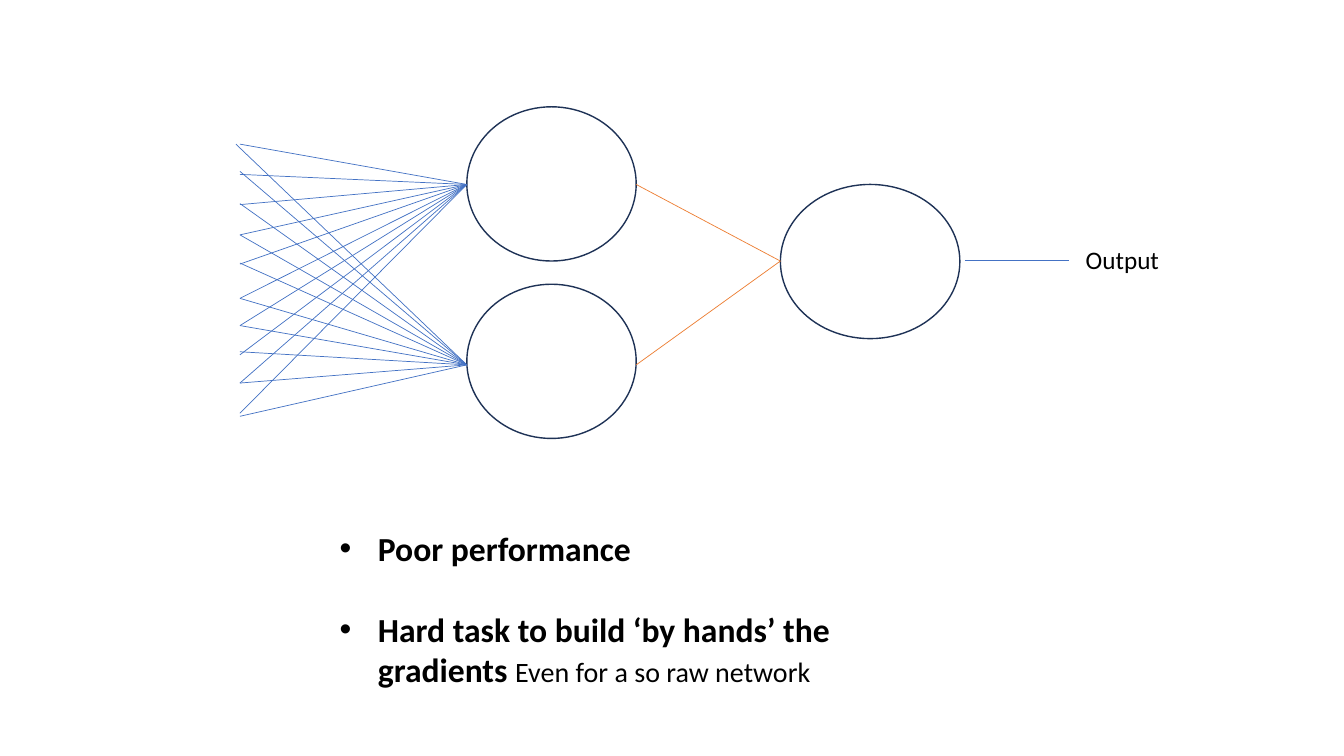
import pptx
import pptx.util
import pptx.dml.color
import pptx.enum.shapes
import pptx.oxml
import pptx.oxml.ns
from pptx.util import Inches, Pt

NAVY, BLUE, ORANGE, BLACK = "1E3256", "4472C4", "ED7D31", "000000"


def rgb(value):
    return pptx.dml.color.RGBColor.from_string(value)


def add_link(start, end, color):
    link = slide.shapes.add_connector(
        pptx.enum.shapes.MSO_CONNECTOR.STRAIGHT,
        *[Inches(v) for v in (*start, *end)])
    link.line.color.rgb = rgb(color)
    link.line.width = Pt(0.5)
    link._element.spPr.append(pptx.oxml.parse_xml(
        f"<a:effectLst {pptx.oxml.ns.nsdecls('a')}/>"))


deck = pptx.Presentation()
deck.slide_width, deck.slide_height = Inches(13.33), Inches(7.5)
slide = deck.slides.add_slide(deck.slide_layouts[6])

# Neurons: two hidden, one output
for left, top, width in [(4.63, 1.06, 1.68), (4.63, 2.82, 1.68), (7.74, 1.83, 1.78)]:
    neuron = slide.shapes.add_shape(
        pptx.enum.shapes.MSO_SHAPE.OVAL,
        Inches(left), Inches(top), Inches(width), Inches(1.53))
    neuron.shadow.inherit = False
    neuron.fill.background()
    neuron.line.color.rgb = rgb(NAVY)
    neuron.line.width = Pt(1)

# Ten inputs into each hidden neuron, then on to the output neuron
hidden_inputs = {
    1.83: [1.43, 1.73, 2.03, 2.33, 2.62, 2.96, 3.23, 3.52, 3.8, 4.1],
    3.62: [1.43, 1.7, 2.02, 2.33, 2.61, 2.96, 3.23, 3.49, 3.8, 4.13],
}
for hidden_y, input_ys in hidden_inputs.items():
    for input_y in input_ys:
        # The topmost input of the lower neuron starts slightly further left
        input_x = 2.34 if (hidden_y, input_y) == (3.62, 1.43) else 2.38
        add_link((input_x, input_y), (4.63, hidden_y), BLUE)
    add_link((6.31, hidden_y), (7.74, 2.59), ORANGE)
add_link((9.57, 2.58), (10.6, 2.58), BLUE)

# Output label and conclusions: each paragraph is a list of (text, size, bold)
texts = [
    ((10.67, 2.37, 0.93, 0.4), False, [[("Output", 18, False)]]),
    ((3.27, 5.19, 6.07, 1.72), True, [
        [("Poor performance", 24, True)],
        [("Hard task to build ‘by hands’ the gradients ", 24, True),
         ("Even for a so raw network", 20, False)],
    ]),
]
for place, bulleted, paragraphs in texts:
    frame = slide.shapes.add_textbox(*[Inches(v) for v in place]).text_frame
    frame.word_wrap = True
    for index, runs in enumerate(paragraphs):
        paragraph = frame.add_paragraph() if index else frame.paragraphs[0]
        if index:
            paragraph.space_before = Pt(29)
        if bulleted:
            properties = paragraph._p.get_or_add_pPr()
            properties.set("marL", str(Inches(0.38)))
            properties.set("indent", str(Inches(-0.38)))
            for bullet in ('buFont typeface="Arial"', 'buChar char="•"'):
                properties.append(pptx.oxml.parse_xml(
                    f"<a:{bullet} {pptx.oxml.ns.nsdecls('a')}/>"))
        for words, size, bold in runs:
            run = paragraph.add_run()
            run.text = words
            run.font.name = "Calibri"
            run.font.size = Pt(size)
            run.font.bold = bold
            run.font.color.rgb = rgb(BLACK)

deck.save("out.pptx")
